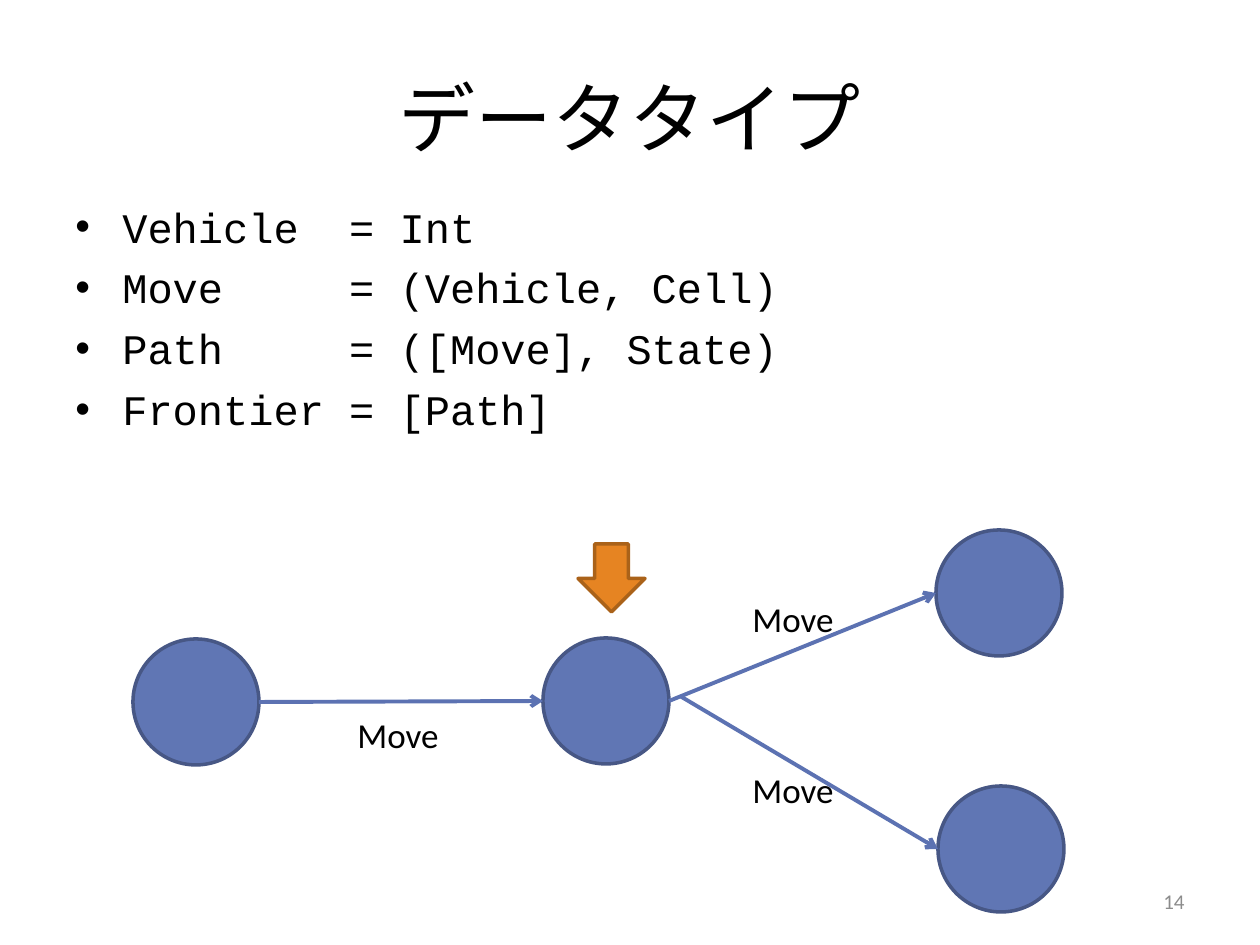
from lxml.etree import SubElement
from pptx import Presentation
from pptx.dml.color import RGBColor
from pptx.enum.shapes import MSO_CONNECTOR, MSO_SHAPE
from pptx.enum.text import MSO_ANCHOR, MSO_AUTO_SIZE, PP_ALIGN
from pptx.oxml.ns import qn
from pptx.util import Pt

PX = 914400 / 126
COLORS = {
    "text": "000000",
    "number": "8C8C8C",
    "node": "6076B4",
    "node_line": "475785",
    "edge": "5C72B2",
    "marker": "E68422",
    "marker_line": "AA6219",
}


def emu(pixels):
    return round(pixels * PX)


def rgb(name):
    return RGBColor.from_string(COLORS[name])


class SlideBuilder:
    font = "Calibri"
    code_font = "Courier New"
    node_size = 126

    def __init__(self, slide):
        self.slide = slide

    def style(self, paragraph, size, color="text", font=None):
        paragraph.font.name = font or self.font
        paragraph.font.size = Pt(size)
        paragraph.font.color.rgb = rgb(color)

    def frame(self, box, wrap=True):
        shape = self.slide.shapes.add_textbox(*map(emu, box))
        shape.text_frame.word_wrap = wrap
        return shape.text_frame

    def text(self, text, box, size, align, color="text"):
        frame = self.frame(box)
        frame.vertical_anchor = MSO_ANCHOR.MIDDLE
        paragraph = frame.paragraphs[0]
        paragraph.text = text
        paragraph.alignment = align
        self.style(paragraph, size, color)

    def label(self, text, left, top):
        frame = self.frame((left, top, 107, 55), wrap=False)
        frame.auto_size = MSO_AUTO_SIZE.SHAPE_TO_FIT_TEXT
        paragraph = frame.paragraphs[0]
        paragraph.text = text
        self.style(paragraph, 20)

    def code_bullets(self, lines, box):
        frame = self.frame(box)
        frame.margin_top = emu(16)
        for index, line in enumerate(lines):
            paragraph = frame.add_paragraph() if index else frame.paragraphs[0]
            paragraph.text = line
            if index:
                paragraph.space_before = Pt(6)
            properties = paragraph._p.get_or_add_pPr()
            properties.set("marL", str(emu(47)))
            properties.set("indent", str(-emu(47)))
            SubElement(properties, qn("a:buFont"), typeface="Arial")
            SubElement(properties, qn("a:buChar"), char="•")
            self.style(paragraph, 24, font=self.code_font)

    def shape(self, kind, box, fill, line):
        shape = self.slide.shapes.add_shape(kind, *map(emu, box))
        shape.shadow.inherit = False
        shape.fill.solid()
        shape.fill.fore_color.rgb = rgb(fill)
        shape.line.color.rgb = rgb(line)
        shape.line.width = Pt(2)

    def node(self, left, top):
        box = (left, top, self.node_size, self.node_size)
        self.shape(MSO_SHAPE.OVAL, box, "node", "node_line")

    def arrow(self, start, end):
        connector = self.slide.shapes.add_connector(
            MSO_CONNECTOR.STRAIGHT, *map(emu, start + end)
        )
        connector.line.color.rgb = rgb("edge")
        connector.line.width = Pt(2.25)
        SubElement(connector.line._get_or_add_ln(), qn("a:tailEnd"), type="arrow")
        SubElement(connector._element.spPr, qn("a:effectLst"))


def main():
    presentation = Presentation()
    presentation.slide_width = emu(1260)
    presentation.slide_height = emu(945)
    builder = SlideBuilder(presentation.slides.add_slide(presentation.slide_layouts[6]))

    builder.text("データタイプ", (63, 38, 1134, 157), 44, PP_ALIGN.CENTER)
    data_types = {
        "Vehicle": "Int",
        "Move": "(Vehicle, Cell)",
        "Path": "([Move], State)",
        "Frontier": "[Path]",
    }
    lines = [f"{name:<8} = {definition}" for name, definition in data_types.items()]
    builder.code_bullets(lines, (63, 185, 1134, 348))
    builder.text("14", (903, 876, 294, 50), 12, PP_ALIGN.RIGHT, "number")

    for left, top in ((133, 639), (543, 638), (936, 530), (938, 786)):
        builder.node(left, top)
    for start, end in (
        ((259, 702), (543, 701)),
        ((669, 701), (936, 593)),
        ((680, 696), (938, 849)),
    ):
        builder.arrow(start, end)
    for left, top in ((345, 707), (740, 591), (740, 762)):
        builder.label("Move", left, top)
    builder.shape(MSO_SHAPE.DOWN_ARROW, (578, 544, 67, 68), "marker", "marker_line")

    presentation.save("out.pptx")


if __name__ == "__main__":
    main()
